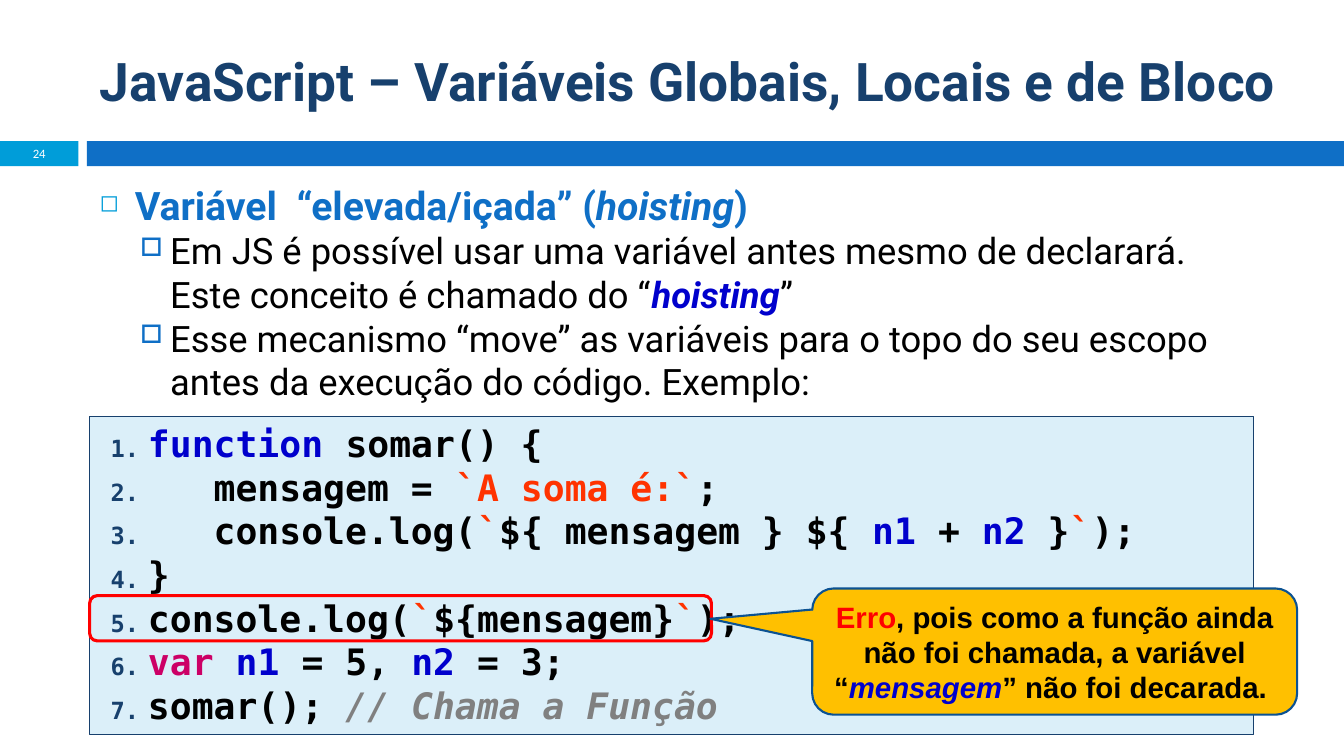
from lxml import etree
from pptx import Presentation
from pptx.dml.color import RGBColor
from pptx.enum import shapes, text
from pptx.oxml.ns import qn
from pptx.util import Cm, Pt

COLORS = {
    "navy": "17406D", "blue": "0F6FC6", "cyan": "009DD9", "pale": "DBEFF9",
    "amber": "FFC000", "edge": "0B5292", "red": "FF0000", "white": "FFFFFF",
    "black": "000000", "keyword": "0000CC", "string": "FF3300",
    "var": "CC0066", "comment": "808080",
}
KIND = shapes.MSO_SHAPE
MIDDLE, TOP = text.MSO_ANCHOR.MIDDLE, text.MSO_ANCHOR.TOP
LEFT, CENTER = text.PP_ALIGN.LEFT, text.PP_ALIGN.CENTER


def color(name):
    return RGBColor.from_string(COLORS[name])


class SlideBuilder:
    def __init__(self, page):
        self.page = page

    def shape(self, kind, place, fill=None, line=None, width=0.75):
        shape = self.page.shapes.add_shape(kind, *map(Cm, place))
        shape.shadow.inherit = False
        if fill:
            shape.fill.solid()
            shape.fill.fore_color.rgb = color(fill)
        else:
            shape.fill.background()
        if line:
            shape.line.color.rgb = color(line)
            shape.line.width = Pt(width)
        else:
            shape.line.fill.background()
        return shape

    def textbox(self, place, anchor=TOP):
        box = self.page.shapes.add_textbox(*map(Cm, place))
        self.frame(box, anchor)
        return box

    def frame(self, box, anchor):
        box.text_frame.word_wrap = True
        box.text_frame.vertical_anchor = anchor

    def paragraph(self, box, spans, font, size, bold=None, align=LEFT, bullet=None):
        """Each span is (text, color name, style letters b and i)."""
        frame = box.text_frame
        para = frame.paragraphs[0]
        if para.runs:
            para = frame.add_paragraph()
        para.alignment = align
        if bullet:
            self.bullet(para, *bullet)
        para.font.name, para.font.size, para.font.bold = font, Pt(size), bold
        for words, tone, *style in spans:
            span = para.add_run()
            span.text = words
            span.font.color.rgb = color(tone)
            if "b" in "".join(style):
                span.font.bold = True
            if "i" in "".join(style):
                span.font.italic = True

    def bullet(self, para, mark, tone, percent, margin, hang):
        props = para._p.get_or_add_pPr()
        props.set("marL", str(Cm(margin)))
        props.set("indent", str(-Cm(hang)))
        tint = etree.SubElement(props, qn("a:buClr"))
        etree.SubElement(tint, qn("a:srgbClr"), val=COLORS[tone])
        etree.SubElement(props, qn("a:buSzPct"), val=str(percent * 1000))
        if mark == "1.":
            etree.SubElement(props, qn("a:buAutoNum"), type="arabicPeriod")
        else:
            etree.SubElement(props, qn("a:buChar"), char=mark)


def main():
    deck = Presentation()
    deck.slide_width, deck.slide_height = Cm(33.87), Cm(19.05)
    page = deck.slides.add_slide(deck.slide_layouts[6])
    slide = SlideBuilder(page)

    # Header band, title and page number
    slide.shape(KIND.RECTANGLE, (0, 3.56, 1.98, 0.63), "cyan")
    slide.shape(KIND.RECTANGLE, (2.19, 3.56, 31.68, 0.63), "blue")
    title = slide.textbox((2.26, 0.64, 30.45, 2.74), MIDDLE)
    slide.paragraph(title, [("JavaScript – Variáveis Globais, Locais e de Bloco", "navy")],
                    "Roboto", 38, True)
    number = slide.textbox((0, 3.53, 1.98, 0.69), MIDDLE)
    slide.paragraph(number, [("24", "white")], "Calibri", 9.1, align=CENTER)

    # Explanation
    body = slide.textbox((2.26, 4.45, 29.67, 12.5))
    slide.paragraph(body, [("Variável  “elevada/içada” (", "blue"),
                           ("hoisting", "blue", "i"), (")", "blue")],
                    "Roboto", 28, True, bullet=("◻", "cyan", 60, 0.89, 0.89))
    points = [
        [("Em JS é possível usar uma variável antes mesmo de declarará. "
          "Este conceito é chamado do “", "black"),
         ("hoisting", "keyword", "bi"), ("”", "black")],
        [("Esse mecanismo “move” as variáveis para o topo do seu escopo "
          "antes da execução do código. Exemplo:", "black")],
    ]
    for point in points:
        slide.paragraph(body, point, "Roboto", 26, bullet=("□", "blue", 70, 1.78, 0.76))

    # Code listing
    code = slide.shape(KIND.RECTANGLE, (2.26, 10.49, 29.34, 8.03), "pale", "navy")
    slide.frame(code, TOP)
    tick = ("`", "string")
    lines = [
        [("function ", "keyword"), ("somar() {", "black")],
        [("   mensagem = ", "black"), ("`A soma é:`", "string"), (";", "black")],
        [("   console.log(", "black"), tick, ("${ mensagem } ${ ", "black"),
         ("n1 ", "keyword"), ("+", "black"), (" n2 ", "keyword"), ("}", "black"),
         tick, (");", "black")],
        [("}", "black")],
        [("console.log(", "black"), tick, ("${mensagem}", "black"), tick, (");", "black")],
        [("var ", "var"), ("n1", "keyword"), (" = 5, ", "black"),
         ("n2", "keyword"), (" = 3;", "black")],
        [("somar();", "black"), (" // Chama a Função", "comment", "i")],
    ]
    for line in lines:
        slide.paragraph(code, line, "DejaVu Sans Mono", 26, True,
                        bullet=("1.", "navy", 65, 1.22, 0.94))

    # Highlighted line and its callout
    slide.shape(KIND.ROUNDED_RECTANGLE, (2.26, 15.01, 15.67, 1.14), line="red", width=2.25)
    callout = slide.shape(KIND.ROUNDED_RECTANGULAR_CALLOUT, (20.47, 14.83, 12.22, 3.18),
                          "amber", "edge", 1.5)
    for index, value in enumerate((-0.71, -0.26, 0.17)):
        callout.adjustments[index] = value
    slide.frame(callout, MIDDLE)
    slide.paragraph(callout, [("Erro", "red"),
                              (", pois como a função ainda não foi chamada, a variável “", "black"),
                              ("mensagem", "keyword", "i"),
                              ("” não foi decarada. ", "black")],
                    "Arial", 21, True, align=CENTER)

    deck.save("out.pptx")


if __name__ == "__main__":
    main()
